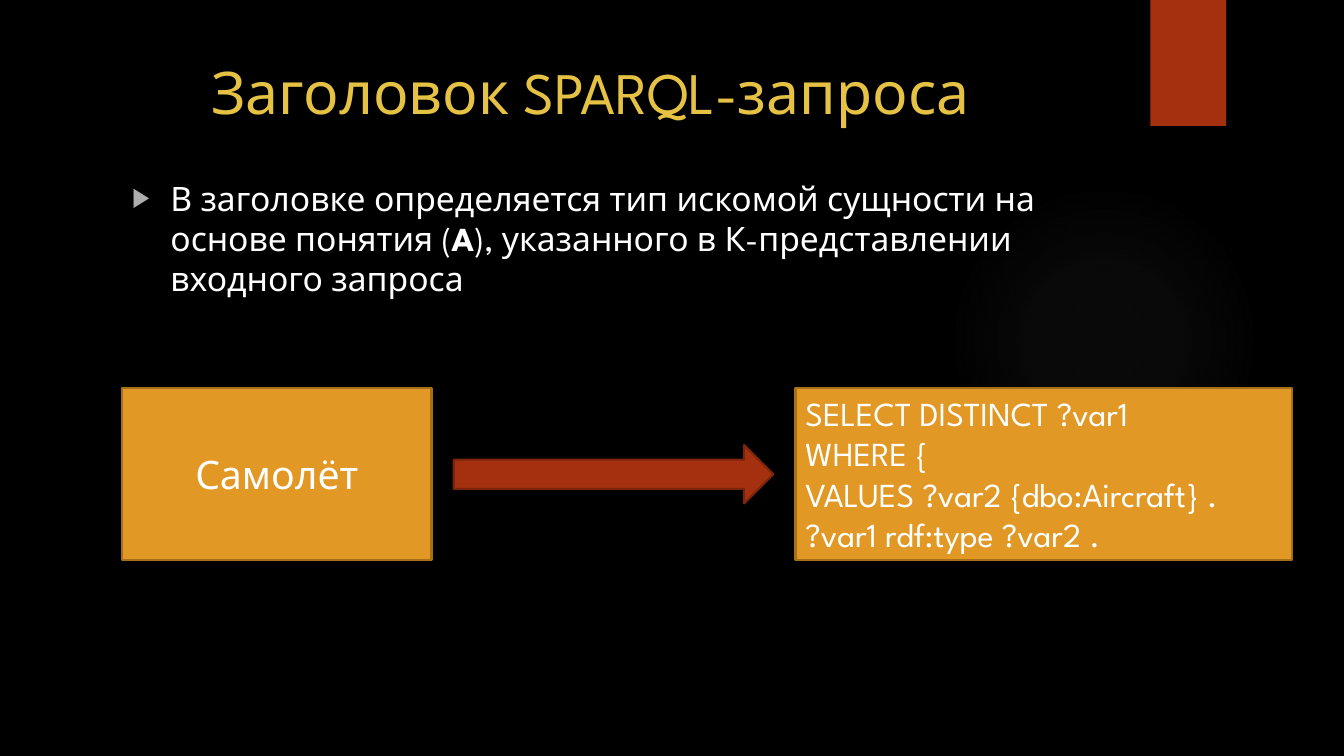
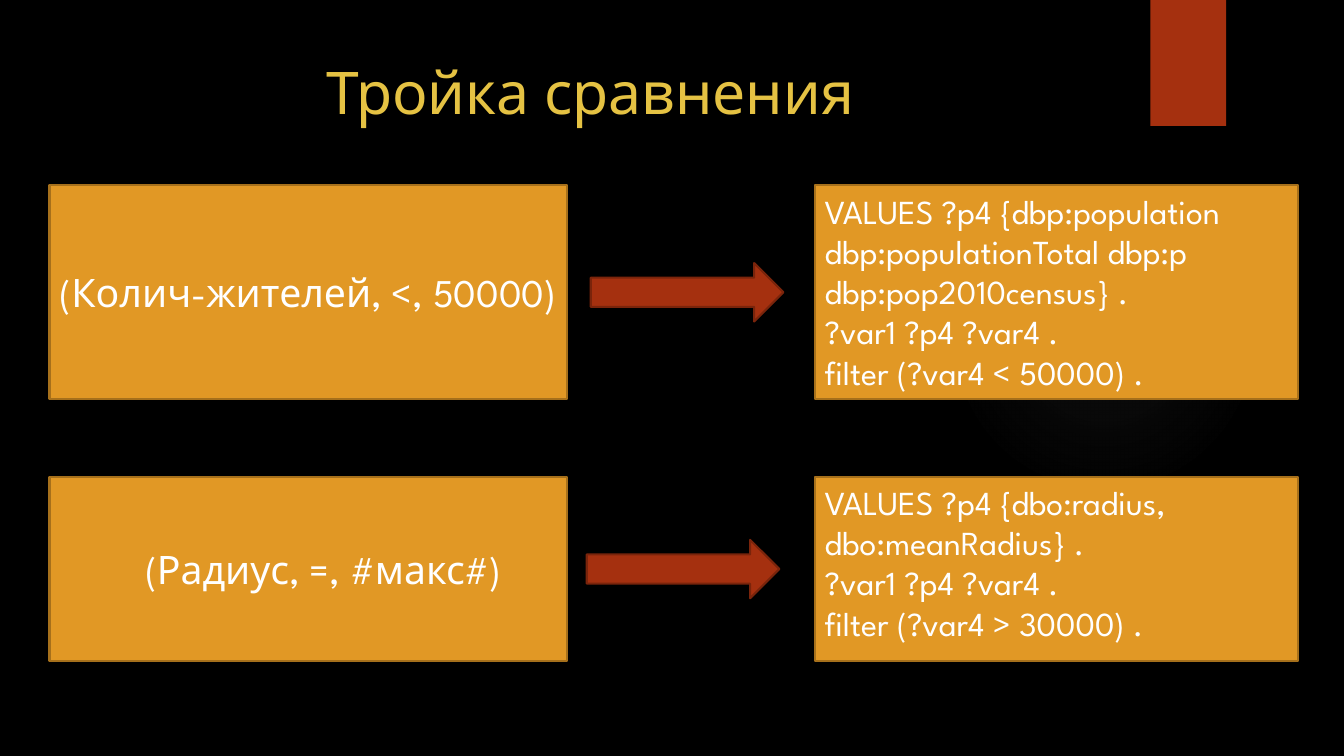
from pptx import Presentation
from pptx.dml.color import RGBColor
from pptx.enum.shapes import MSO_SHAPE
from pptx.enum.text import MSO_ANCHOR, MSO_AUTO_SIZE, PP_ALIGN
from pptx.oxml import parse_xml
from pptx.oxml.ns import nsdecls
from pptx.util import Inches, Pt

BLACK = RGBColor(0x00, 0x00, 0x00)
WHITE = RGBColor(0xFF, 0xFF, 0xFF)
GOLD = RGBColor(0xE5, 0xC2, 0x43)
ORANGE = RGBColor(0xE1, 0x98, 0x25)
BROWN = RGBColor(0xA6, 0x70, 0x1B)
RUST = RGBColor(0xA5, 0x30, 0x0F)
DARK_RUST = RGBColor(0x7A, 0x24, 0x0B)
FONT = "League Spartan"

prs = Presentation()
prs.slide_width, prs.slide_height = Inches(13.33), Inches(7.5)
COLUMN, ROW = prs.slide_width / 100, prs.slide_height / 100


def add_block(slide, kind, left, top, width, height, fill, line=None):
    block = slide.shapes.add_shape(
        kind, round(left * COLUMN), round(top * ROW), round(width * COLUMN), round(height * ROW))
    block.shadow.inherit = False
    block.fill.solid()
    block.fill.fore_color.rgb = fill
    if line is None:
        block.line.fill.background()
    else:
        block.line.color.rgb = line
        block.line.width = Pt(1.5)
    return block


def add_run(paragraph, text, size, color=WHITE, bold=False):
    run = paragraph.add_run()
    run.text = text
    run.font.name = FONT
    run.font.size = Pt(size)
    run.font.color.rgb = color
    run.font.bold = bold


master = prs.slide_master
master.background.fill.solid()
master.background.fill.fore_color.rgb = BLACK

heading_slide = prs.slides.add_slide(prs.slide_layouts.get_by_name("Title and Content"))
comparison_slide = prs.slides.add_slide(prs.slide_layouts.get_by_name("Title Only"))

glow = add_block(heading_slide, MSO_SHAPE.OVAL, 70.59, 24.4, 23.11, 41.07, BLACK)
stops = "".join(
    f'<a:gs pos="{place * 1000}"><a:srgbClr val="848484"><a:alpha val="{alpha * 1000}"/></a:srgbClr></a:gs>'
    for place, alpha in ((0, 7), (36, 6), (69, 0), (100, 0)))
solid = glow.element.spPr.find("{*}solidFill")
solid.getparent().replace(solid, parse_xml(
    f'<a:gradFill {nsdecls("a")} rotWithShape="1"><a:gsLst>{stops}</a:gsLst>'
    '<a:path path="circle"><a:fillToRect l="50000" t="50000" r="50000" b="50000"/></a:path></a:gradFill>'))
ribbon = add_block(heading_slide, MSO_SHAPE.RECTANGLE, 85.6, 0, 5.63, 16.67, RUST)
for position, decoration in enumerate((glow, ribbon), start=2):
    master.shapes.element.insert(position, decoration.element)

for slide, heading in (
    (heading_slide, "Заголовок SPARQL-запроса"),
    (comparison_slide, "Тройка сравнения"),
):
    title = slide.shapes.title
    title.left, title.top = round(5.33 * COLUMN), round(6.67 * ROW)
    title.width, title.height = round(77.19 * COLUMN), round(20.4 * ROW)
    title.text_frame.vertical_anchor = MSO_ANCHOR.TOP
    title.text_frame.auto_size = MSO_AUTO_SIZE.NONE
    title.text_frame.paragraphs[0].alignment = PP_ALIGN.CENTER
    add_run(title.text_frame.paragraphs[0], heading, 42, GOLD)

explanation = heading_slide.placeholders[1]
explanation.left, explanation.top = round(9.08 * COLUMN), round(22.8 * ROW)
explanation.width, explanation.height = round(73.37 * COLUMN), round(15.87 * ROW)
explanation.text_frame.auto_size = MSO_AUTO_SIZE.NONE
definition = explanation.text_frame.paragraphs[0]
definition.space_before = Pt(10)
add_run(definition, "В заголовке определяется тип искомой сущности на основе понятия (", 24)
add_run(definition, "A", 24, bold=True)
add_run(definition, "), указанного в К-представлении входного запроса", 24)
indents = definition._p.get_or_add_pPr()
indents.set("marL", str(Inches(0.38)))
indents.set("indent", str(-Inches(0.38)))
for bullet in (
    '<a:buClr {}><a:srgbClr val="ADADAD"/></a:buClr>',
    '<a:buSzPct {} val="80000"/>',
    '<a:buFont {} typeface="Arial"/>',
    '<a:buChar {} char="▶"/>',
):
    indents.append(parse_xml(bullet.format(nsdecls("a"))))

concept_columns = ((9.08, 23.03), (59.19, 36.91))
triple_columns = ((3.68, 38.48), (60.62, 35.93))
ARROW_HEIGHT = 7.73

for slide, columns, top, height, arrow_left, arrow_width, label_shift, label, query in (
    (heading_slide, concept_columns, 51.33, 22.8, 33.76, 23.78, 0, "Самолёт",
     ("SELECT DISTINCT ?var1", "WHERE {", "VALUES ?var2 {dbo:Aircraft} .", "?var1 rdf:type ?var2 .")),
    (comparison_slide, triple_columns, 24.53, 28.27, 43.96, 14.33, 0, "(Колич-жителей, <, 50000)",
     ("VALUES ?p4 {dbp:population dbp:populationTotal dbp:p dbp:pop2010census} .",
      "?var1 ?p4 ?var4 .", "filter (?var4 < 50000) .")),
    (comparison_slide, triple_columns, 63.07, 24.4, 43.66, 14.33, 0.3, "(Радиус, =, #макс#)",
     ("VALUES ?p4 {dbo:radius, dbo:meanRadius} .", "?var1 ?p4 ?var4 .", "filter (?var4 > 30000) .")),
):
    (source_left, source_width), (query_left, query_width) = columns
    source = add_block(slide, MSO_SHAPE.RECTANGLE, source_left, top, source_width, height, ORANGE, BROWN)
    source.text_frame.word_wrap = True
    source.text_frame.margin_left = Inches(0.05 + label_shift)
    source.text_frame.margin_right = Inches(0.05)
    source.text_frame.vertical_anchor = MSO_ANCHOR.MIDDLE
    source.text_frame.paragraphs[0].alignment = PP_ALIGN.CENTER
    add_run(source.text_frame.paragraphs[0], label, 28)

    add_block(slide, MSO_SHAPE.RIGHT_ARROW, arrow_left, top + (height - ARROW_HEIGHT) / 2,
              arrow_width, ARROW_HEIGHT, RUST, DARK_RUST)

    target = add_block(slide, MSO_SHAPE.RECTANGLE, query_left, top, query_width, height, ORANGE, BROWN)
    target.text_frame.word_wrap = True
    target.text_frame.vertical_anchor = MSO_ANCHOR.TOP
    for number, code in enumerate(query):
        line = target.text_frame.add_paragraph() if number else target.text_frame.paragraphs[0]
        line.alignment = PP_ALIGN.LEFT
        add_run(line, code, 24)

prs.save("out.pptx")
